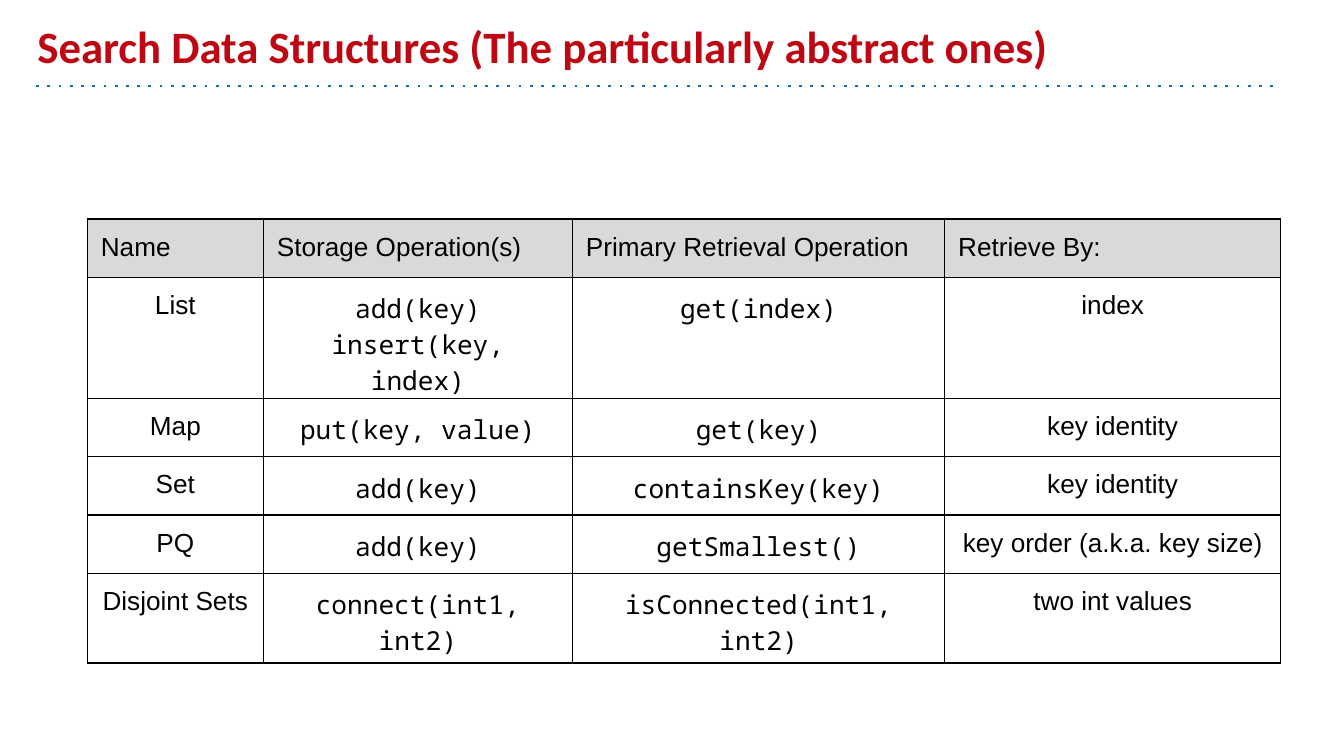
from pptx import Presentation
from pptx.dml.color import RGBColor
from pptx.enum.shapes import MSO_CONNECTOR
from pptx.enum.text import MSO_ANCHOR, PP_ALIGN
from pptx.oxml.ns import qn
from pptx.util import Inches, Pt
from lxml.etree import SubElement

COLORS = {"title": "BE0712", "rule": "1072BD", "header": "D9D9D9", "ink": "000000"}
BODY_FONT, CODE_FONT = "Arial", "Noto Sans Mono"
COLUMN_FONTS = [BODY_FONT, CODE_FONT, CODE_FONT, BODY_FONT]
COLUMN_WIDTHS = [1.31, 2.3, 2.77, 2.5]
ROW_HEIGHT = 0.43
ROWS = [
    ["Name", "Storage Operation(s)", "Primary Retrieval Operation", "Retrieve By:"],
    ["List", "add(key)\ninsert(key, index)", "get(index)", "index"],
    ["Map", "put(key, value)", "get(key)", "key identity"],
    ["Set", "add(key)", "containsKey(key)", "key identity"],
    ["PQ", "add(key)", "getSmallest()", "key order (a.k.a. key size)"],
    ["Disjoint Sets", "connect(int1, int2)", "isConnected(int1, int2)", "two int values"],
]


def add_run(paragraph, text, font, size, color, bold=False):
    run = paragraph.add_run()
    run.text = text
    run.font.name = font
    run.font.size = Pt(size)
    run.font.bold = bold
    run.font.color.rgb = RGBColor.from_string(COLORS[color])


def add_borders(cell):
    properties = cell._tc.get_or_add_tcPr()
    for side in ("a:lnL", "a:lnR", "a:lnT", "a:lnB"):
        line = SubElement(properties, qn(side), w=str(Pt(0.75)))
        fill = SubElement(line, qn("a:solidFill"))
        SubElement(fill, qn("a:srgbClr"), val=COLORS["ink"])


presentation = Presentation()
presentation.slide_width = Inches(10)
presentation.slide_height = Inches(10) * 9 // 16
slide = presentation.slides.add_slide(presentation.slide_layouts[6])

# Title and dotted rule
rule = slide.shapes.add_connector(
    MSO_CONNECTOR.STRAIGHT, Inches(0.27), Inches(0.64), Inches(9.5), Inches(0.64))
rule.line.color.rgb = RGBColor.from_string(COLORS["rule"])
rule.line.width = Pt(1.5)
SubElement(rule.line._get_or_add_ln(), qn("a:prstDash"), val="dot")
SubElement(rule._element.spPr, qn("a:effectLst"))

title = slide.shapes.add_textbox(Inches(0.18), Inches(0.1), Inches(9), Inches(0.54))
frame = title.text_frame
frame.word_wrap = True
frame.vertical_anchor = MSO_ANCHOR.BOTTOM
frame.margin_left = frame.margin_right = Inches(0.1)
frame.margin_top = frame.margin_bottom = Inches(0.1)
add_run(frame.paragraphs[0], "Search Data Structures (The particularly abstract ones)",
        "Calibri", 24, "title", bold=True)

# Table of data structures
table_shape = slide.shapes.add_table(
    len(ROWS), len(COLUMN_WIDTHS), Inches(0.65), Inches(1.63),
    Inches(sum(COLUMN_WIDTHS)), Inches(ROW_HEIGHT * len(ROWS)))
table = table_shape.table
table.horz_banding = False
for column, width in zip(table.columns, COLUMN_WIDTHS):
    column.width = Inches(width)

for row_index, texts in enumerate(ROWS):
    is_header = row_index == 0
    table.rows[row_index].height = Inches(ROW_HEIGHT)
    for column_index, text in enumerate(texts):
        cell = table.cell(row_index, column_index)
        cell.margin_left = cell.margin_right = Inches(0.1)
        cell.margin_top = cell.margin_bottom = Inches(0.1)
        add_borders(cell)
        if is_header:
            cell.fill.solid()
            cell.fill.fore_color.rgb = RGBColor.from_string(COLORS["header"])
        else:
            cell.fill.background()
        font = BODY_FONT if is_header else COLUMN_FONTS[column_index]
        for line_index, line_text in enumerate(text.split("\n")):
            frame = cell.text_frame
            paragraph = frame.add_paragraph() if line_index else frame.paragraphs[0]
            paragraph.alignment = PP_ALIGN.LEFT if is_header else PP_ALIGN.CENTER
            add_run(paragraph, line_text, font, 14, "ink")

# The rows grow with their text, so the frame is taller than their minimum heights
table_shape.height = Inches(2.83)

presentation.save("out.pptx")
